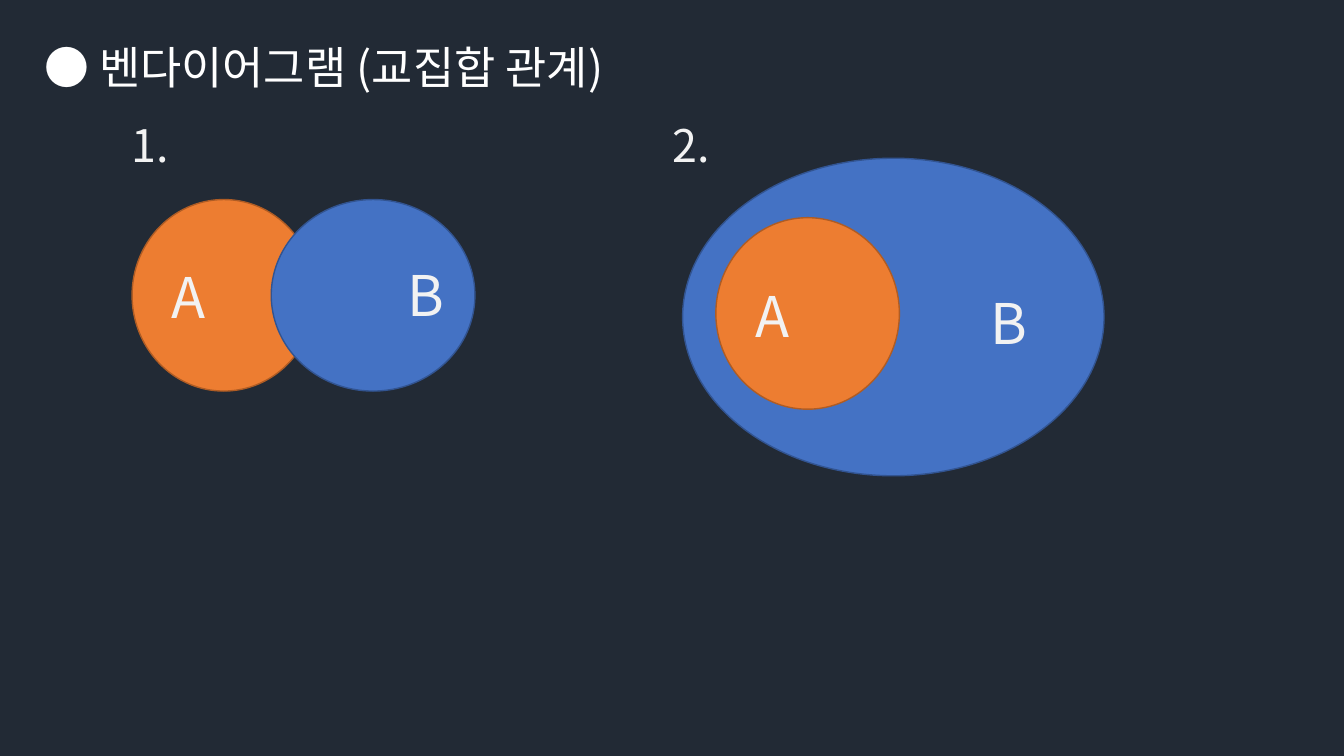
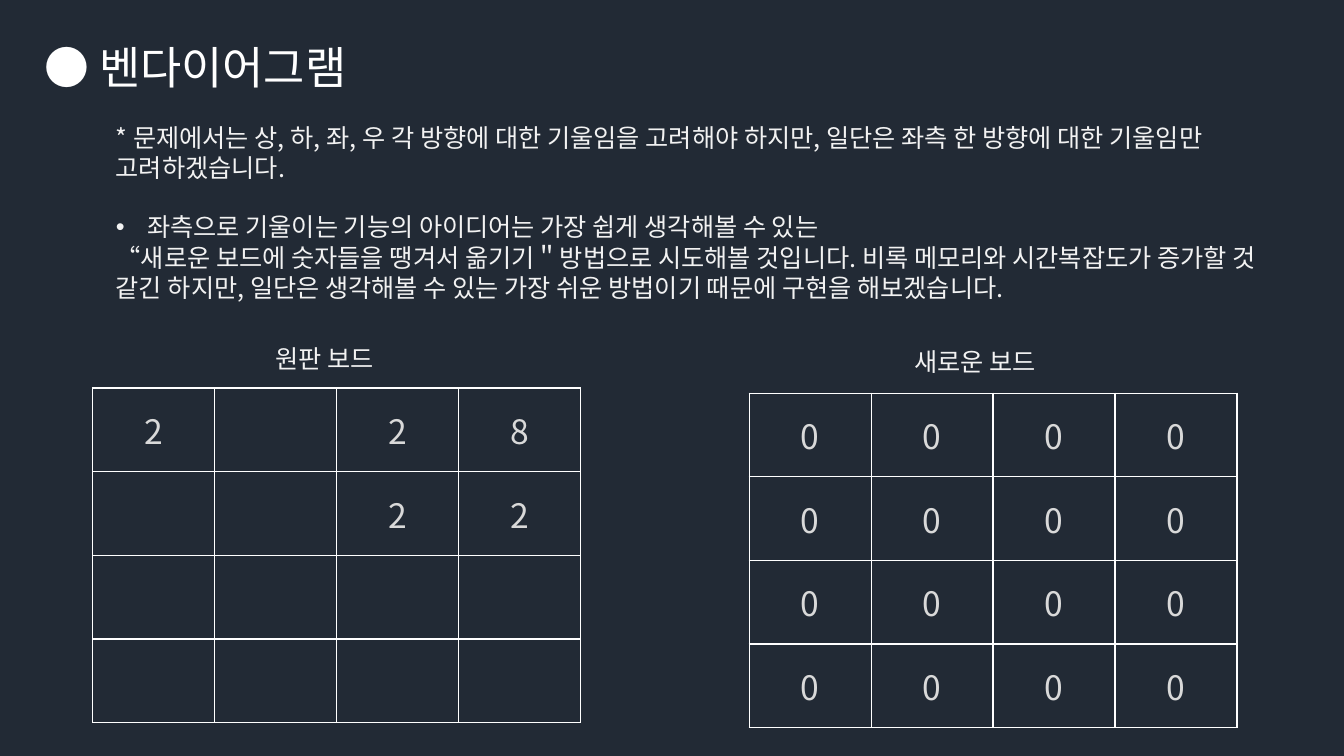
"""Build two slides on Venn diagrams and shifting a number board."""
import dataclasses

import lxml.etree
import pptx
import pptx.dml.color
import pptx.enum.shapes
import pptx.enum.text
import pptx.oxml.ns
import pptx.util

Inches = pptx.util.Inches
Pt = pptx.util.Pt
qn = pptx.oxml.ns.qn


@dataclasses.dataclass(frozen=True)
class Theme:
    font: str = "Noto Sans CJK KR"
    background: str = "222A35"
    title: str = "FFFFFF"
    text: str = "F2F2F2"
    digit: str = "D9D9D9"
    border: str = "FFFFFF"
    orange: tuple = ("ED7D31", "AF5C24")
    blue: tuple = ("4472C4", "325491")
    title_size: int = 32
    set_size: int = 40
    body_size: int = 18
    digit_size: int = 24
    line_width: int = 1


THEME = Theme()


def rgb(value):
    return pptx.dml.color.RGBColor.from_string(value)


def write(para, text, *, size, color):
    span = para.add_run()
    span.text = text
    span.font.size = Pt(size)
    span.font.name = THEME.font
    span.font.color.rgb = rgb(color)
    east_asian = lxml.etree.SubElement(span.font._element, qn("a:ea"))
    east_asian.set("typeface", THEME.font)


def set_bullet(para, indent):
    properties = para._p.get_or_add_pPr()
    properties.set("marL", str(indent))
    properties.set("indent", str(-indent))
    lxml.etree.SubElement(properties, qn("a:buFont")).set("typeface", "Arial")
    lxml.etree.SubElement(properties, qn("a:buChar")).set("char", "•")


def add_text(page, text, left, top, width, height, *, size=THEME.body_size,
             color=THEME.text, bullet_first=False):
    box = page.shapes.add_textbox(Inches(left), Inches(top), Inches(width), Inches(height))
    frame = box.text_frame
    frame.word_wrap = True
    frame.auto_size = pptx.enum.text.MSO_AUTO_SIZE.SHAPE_TO_FIT_TEXT
    for index, line in enumerate(text.split("\n")):
        para = frame.add_paragraph() if index else frame.paragraphs[0]
        write(para, line, size=size, color=color)
    if bullet_first:
        set_bullet(frame.paragraphs[0], Inches(0.31))


def add_page(deck, title, title_width):
    page = deck.slides.add_slide(deck.slide_layouts[6])
    page.background.fill.solid()
    page.background.fill.fore_color.rgb = rgb(THEME.background)
    add_text(page, "● " + title, 0.34, 0.34, title_width, 0.64,
             size=THEME.title_size, color=THEME.title)
    return page


def add_ellipse(page, left, top, width, height, colors):
    fill, line = colors
    oval = page.shapes.add_shape(pptx.enum.shapes.MSO_SHAPE.OVAL, Inches(left),
                                 Inches(top), Inches(width), Inches(height))
    oval.shadow.inherit = False
    oval.fill.solid()
    oval.fill.fore_color.rgb = rgb(fill)
    oval.line.color.rgb = rgb(line)
    oval.line.width = Pt(THEME.line_width)


def add_set_name(page, name, left, top):
    add_text(page, name, left, top, 1.33, 0.77, size=THEME.set_size)


def add_number(page, number, left):
    add_text(page, number, left, 1.12, 4.18, 0.64, size=THEME.title_size)


def set_borders(cell):
    properties = cell._tc.get_or_add_tcPr()
    for index, side in enumerate(("lnL", "lnR", "lnT", "lnB")):
        line = lxml.etree.Element(qn("a:" + side), w=str(Pt(THEME.line_width)))
        fill = lxml.etree.SubElement(line, qn("a:solidFill"))
        lxml.etree.SubElement(fill, qn("a:srgbClr")).set("val", THEME.border)
        properties.insert(index, line)


def add_board(page, rows, left, top):
    columns = len(rows[0])
    table = page.shapes.add_table(len(rows), columns, Inches(left), Inches(top),
                                  Inches(1.21 * columns), Inches(0.83 * len(rows))).table
    table.first_row = False
    table.horz_banding = False
    for row, values in enumerate(rows):
        for column, value in enumerate(values):
            cell = table.cell(row, column)
            cell.fill.background()
            set_borders(cell)
            cell.vertical_anchor = pptx.enum.text.MSO_ANCHOR.MIDDLE
            if value.strip():
                para = cell.text_frame.paragraphs[0]
                para.alignment = pptx.enum.text.PP_ALIGN.CENTER
                write(para, value, size=THEME.digit_size, color=THEME.digit)


def build_venn_page(deck):
    page = add_page(deck, "벤다이어그램 (교집합 관계)", 6.23)
    add_number(page, "1.", 1.21)
    add_ellipse(page, 1.31, 1.98, 1.82, 1.9, THEME.orange)
    add_ellipse(page, 2.69, 1.98, 2.02, 1.9, THEME.blue)
    add_set_name(page, "A", 1.6, 2.56)
    add_set_name(page, "B", 3.94, 2.54)
    add_ellipse(page, 6.77, 1.57, 4.18, 3.15, THEME.blue)
    add_ellipse(page, 7.1, 2.16, 1.82, 1.9, THEME.orange)
    add_number(page, "2.", 6.57)
    add_set_name(page, "A", 7.39, 2.74)
    add_set_name(page, "B", 9.73, 2.81)


def build_board_page(deck):
    page = add_page(deck, "벤다이어그램", 3.68)
    add_text(page, "* 문제에서는 상, 하, 좌, 우 각 방향에 대한 기울임을 고려해야 하지만, "
             "일단은 좌측 한 방향에 대한 기울임만 고려하겠습니다.", 1.05, 1.16, 11.65, 0.71)
    add_text(page, "좌측으로 기울이는 기능의 아이디어는 가장 쉽게 생각해볼 수 있는\n"
             "“새로운 보드에 숫자들을 땡겨서 옮기기＂방법으로 시도해볼 것입니다. "
             "비록 메모리와 시간복잡도가 증가할 것 같긴 하지만, 일단은 생각해볼 수 있는 "
             "가장 쉬운 방법이기 때문에 구현을 해보겠습니다.",
             1.05, 2.05, 11.65, 1.01, bullet_first=True)
    add_text(page, "원판 보드", 2.63, 3.36, 1.33, 0.4)
    add_board(page, ["2 28", "  22", "    ", "    "], 0.92, 3.85)
    add_text(page, "새로운 보드", 8.97, 3.39, 1.77, 0.4)
    add_board(page, ["0000"] * 4, 7.43, 3.9)


def main():
    deck = pptx.Presentation()
    deck.slide_width = Inches(13.33)
    deck.slide_height = Inches(7.5)
    build_venn_page(deck)
    build_board_page(deck)
    deck.save("out.pptx")


main()
